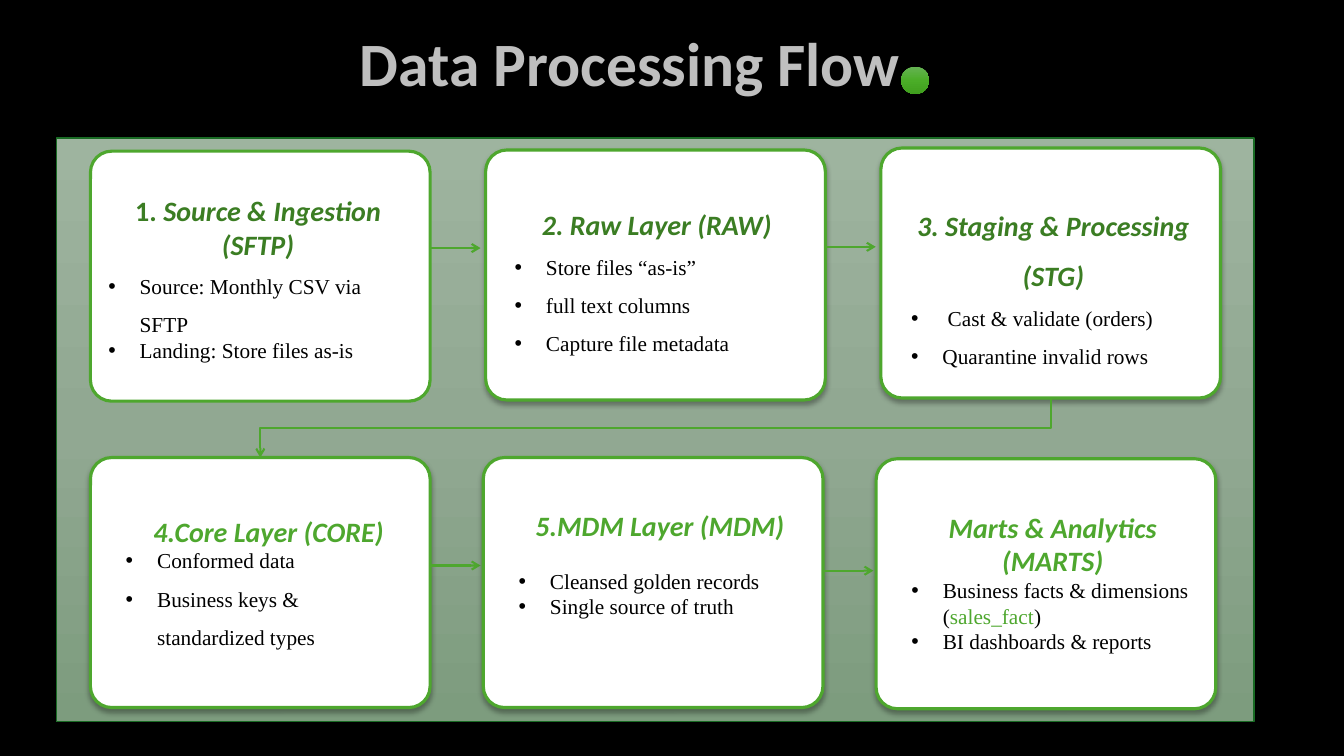
from dataclasses import dataclass

import lxml.etree
import pptx
import pptx.dml.color
import pptx.enum.shapes
import pptx.enum.text
import pptx.oxml.ns
import pptx.util

Cm, Pt = pptx.util.Cm, pptx.util.Pt
qn = pptx.oxml.ns.qn
MSO_SHAPE = pptx.enum.shapes.MSO_SHAPE
MSO_CONNECTOR = pptx.enum.shapes.MSO_CONNECTOR
PP_ALIGN = pptx.enum.text.PP_ALIGN


@dataclass(frozen=True)
class Theme:
    background: str = "000000"
    title: str = "BFBFBF"
    green: str = "4EA72E"
    dark_green: str = "3B7D23"
    panel_line: str = "196B24"
    card: str = "FFFFFF"
    body: str = "000000"
    shadow: str = "000000"
    dot_stops: tuple = ((0, "66B354"), (50, "4BAD28"), (100, "409F1E"))
    panel_stops: tuple = ((0, "9EB49F"), (50, "91A892"), (100, "7D9C7E"))
    heading_font: str = "Calibri"
    body_font: str = "Times New Roman"
    title_size: float = 44
    heading_size: float = 20
    body_size: float = 15.2


@dataclass(frozen=True)
class Card:
    top: float
    text_box: tuple
    color: str
    heading: tuple
    heading_spacing: float
    bullets: tuple
    arrow: float = 0
    shadow: bool = True


THEME = Theme()
CARD_W, CARD_H = 8.56, 6.3
LEFT = 0.86
ROWS = (
    (9.96, (
        Card(0.33, (0.2, 0.94, 8.05, 5.36), THEME.dark_green,
             ("1. ", "Source & Ingestion (SFTP)"), 1,
             ((1.5, "Source: Monthly CSV via SFTP"), (1, "Landing: Store files as-is")),
             arrow=2.44, shadow=False),
        Card(0.3, (0.48, 0.91, 7.67, 4.37), THEME.dark_green,
             ("2. Raw Layer (RAW)",), 1.5,
             ((1.5, "Store files “as-is”"), (1.5, "full text columns"),
              (1.5, "Capture file metadata")), arrow=2.44),
        Card(0.25, (0.51, 0.97, 7.67, 4.67), THEME.dark_green,
             ("3. Staging & Processing (STG)",), 1.5,
             ((1.5, " Cast & validate (orders)"), (1.5, "Quarantine invalid rows"))),
    )),
    (9.9, (
        Card(8.05, (0.64, 1.3, 7.7, 3.61), THEME.green,
             ("4.Core Layer (CORE)",), 1,
             ((1, "Conformed data"), (1.5, "Business keys & standardized types")), arrow=2.72),
        Card(8.05, (0.64, 1.17, 7.62, 3.07), THEME.green,
             ("5.MDM Layer (MDM)",), 1,
             ((2, "Cleansed golden records"), (1, "Single source of truth")), arrow=2.85),
        Card(8.08, (0.64, 1.17, 7.62, 3.94), THEME.green,
             ("Marts & Analytics (MARTS)",), 1,
             ((1, "Business facts & dimensions (", "sales_fact", ")"),
              (1, "BI dashboards & reports"))),
    )),
)


def rgb(color):
    return pptx.dml.color.RGBColor.from_string(color)


def child(parent, tag, **attrs):
    return lxml.etree.SubElement(parent, qn(tag), {k: str(v) for k, v in attrs.items()})


def add_box(s, kind, x, y, w, h):
    sp = s.shapes.add_shape(kind, Cm(x), Cm(y), Cm(w), Cm(h))
    sp.shadow.inherit = False
    return sp


def set_gradient(sp, stops):
    sp.fill.gradient()
    sp.fill.gradient_angle = 270
    gs_list = sp.element.spPr.find(qn("a:gradFill")).find(qn("a:gsLst"))
    gs_list.clear()
    for position, color in stops:
        child(child(gs_list, "a:gs", pos=position * 1000), "a:srgbClr", val=color)


def set_line(line, color, width):
    line.color.rgb = rgb(color)
    line.width = Pt(width)


def set_shadow(sp, alpha, blur, distance):
    effects = sp.element.spPr.find(qn("a:effectLst"))
    shadow = child(effects, "a:outerShdw", blurRad=Pt(blur), dist=Pt(distance),
                   dir=5400000, algn="ctr", rotWithShape=0)
    child(child(shadow, "a:srgbClr", val=THEME.shadow), "a:alpha", val=alpha * 1000)


def add_text(s, x, y, w, h):
    tf = s.shapes.add_textbox(Cm(x), Cm(y), Cm(w), Cm(h)).text_frame
    tf.word_wrap = True
    return tf


def write(p, texts, font, size, color, spacing):
    p.line_spacing = spacing
    p.font.name, p.font.size, p.font.color.rgb = font, Pt(size), rgb(color)
    for text in texts:
        p.add_run().text = text


def add_bullet(p):
    p_pr = p._p.get_or_add_pPr()
    p_pr.set("marL", str(Cm(0.79)))
    p_pr.set("indent", str(-Cm(0.79)))
    child(p_pr, "a:buFont", typeface="Arial")
    child(p_pr, "a:buChar", char="•")


def add_arrow(s, kind, x1, y1, x2, y2):
    cxn = s.shapes.add_connector(kind, Cm(x1), Cm(y1), Cm(x2), Cm(y2))
    set_line(cxn.line, THEME.green, 1.5)
    sp_pr = cxn.element.spPr
    child(sp_pr.find(qn("a:ln")), "a:tailEnd", type="arrow")
    child(sp_pr, "a:effectLst")
    return cxn


def add_down_elbow(s, x1, y1, x2, y2):
    mid_x, mid_y = (x1 + x2) / 2, (y1 + y2) / 2
    half_w, half_h = (y2 - y1) / 2, (x1 - x2) / 2
    cxn = add_arrow(s, MSO_CONNECTOR.ELBOW, mid_x - half_w, mid_y - half_h,
                    mid_x + half_w, mid_y + half_h)
    cxn.element.spPr.find(qn("a:xfrm")).set("rot", "5400000")


def add_title(s, x, y, w, h):
    tf = add_text(s, x, y, w, h)
    tf.vertical_anchor = pptx.enum.text.MSO_ANCHOR.MIDDLE
    p = tf.paragraphs[0]
    p.alignment = PP_ALIGN.CENTER
    write(p, ["Data Processing Flow"], THEME.heading_font, THEME.title_size, THEME.title, 0.9)
    p.font.bold = True
    dot = add_box(s, MSO_SHAPE.FLOWCHART_CONNECTOR, x + 19.53, y + 1.3, 0.71, 0.69)
    set_gradient(dot, THEME.dot_stops)
    dot.line.fill.background()
    set_shadow(dot, 63, 4.5, 1.5)


def add_card(s, x, y, card):
    sp = add_box(s, MSO_SHAPE.ROUNDED_RECTANGLE, x, y, CARD_W, CARD_H)
    sp.adjustments[0] = 0.085
    sp.fill.solid()
    sp.fill.fore_color.rgb = rgb(THEME.card)
    set_line(sp.line, THEME.green, 2.25)
    if card.shadow:
        set_shadow(sp, 32, 3.5, 2.2)

    dx, dy, w, h = card.text_box
    tf = add_text(s, x + dx, y + dy, w, h)
    p = tf.paragraphs[0]
    p.alignment = PP_ALIGN.CENTER
    write(p, card.heading, THEME.heading_font, THEME.heading_size, card.color,
          card.heading_spacing)
    p.font.bold = True
    styled = p if len(p.runs) == 1 else p.runs[-1]
    styled.font.italic = True
    for spacing, *texts in card.bullets:
        p = tf.add_paragraph()
        add_bullet(p)
        write(p, texts, THEME.body_font, THEME.body_size, THEME.body, spacing)
        for r in p.runs[1::2]:
            r.font.color.rgb = rgb(THEME.green)


def add_flow(s, x, y, w, h):
    panel = add_box(s, MSO_SHAPE.RECTANGLE, x, y, w, h)
    set_gradient(panel, THEME.panel_stops)
    set_line(panel.line, THEME.panel_line, 1)
    for pitch, cards in ROWS:
        for col, card in enumerate(cards):
            card_x, card_y = x + LEFT + col * pitch, y + card.top
            add_card(s, card_x, card_y, card)
            if card.arrow:
                right, arrow_y = card_x + CARD_W, card_y + card.arrow
                add_arrow(s, MSO_CONNECTOR.STRAIGHT, right, arrow_y, right + 1.27, arrow_y)
    (top_pitch, top_cards), (_, bottom_cards) = ROWS
    center = x + LEFT + CARD_W / 2
    add_down_elbow(s, center + 2 * top_pitch, y + top_cards[-1].top + CARD_H,
                   center, y + bottom_cards[0].top)


def main():
    prs = pptx.Presentation()
    prs.slide_width, prs.slide_height = Cm(33.87), Cm(19.05)
    s = prs.slides.add_slide(prs.slide_layouts[6])
    s.background.fill.solid()
    s.background.fill.fore_color.rgb = rgb(THEME.background)
    add_title(s, 3.18, 0.38, 25.4, 2.59)
    add_flow(s, 1.42, 3.48, 30.18, 14.71)
    prs.save("out.pptx")


if __name__ == "__main__":
    main()
